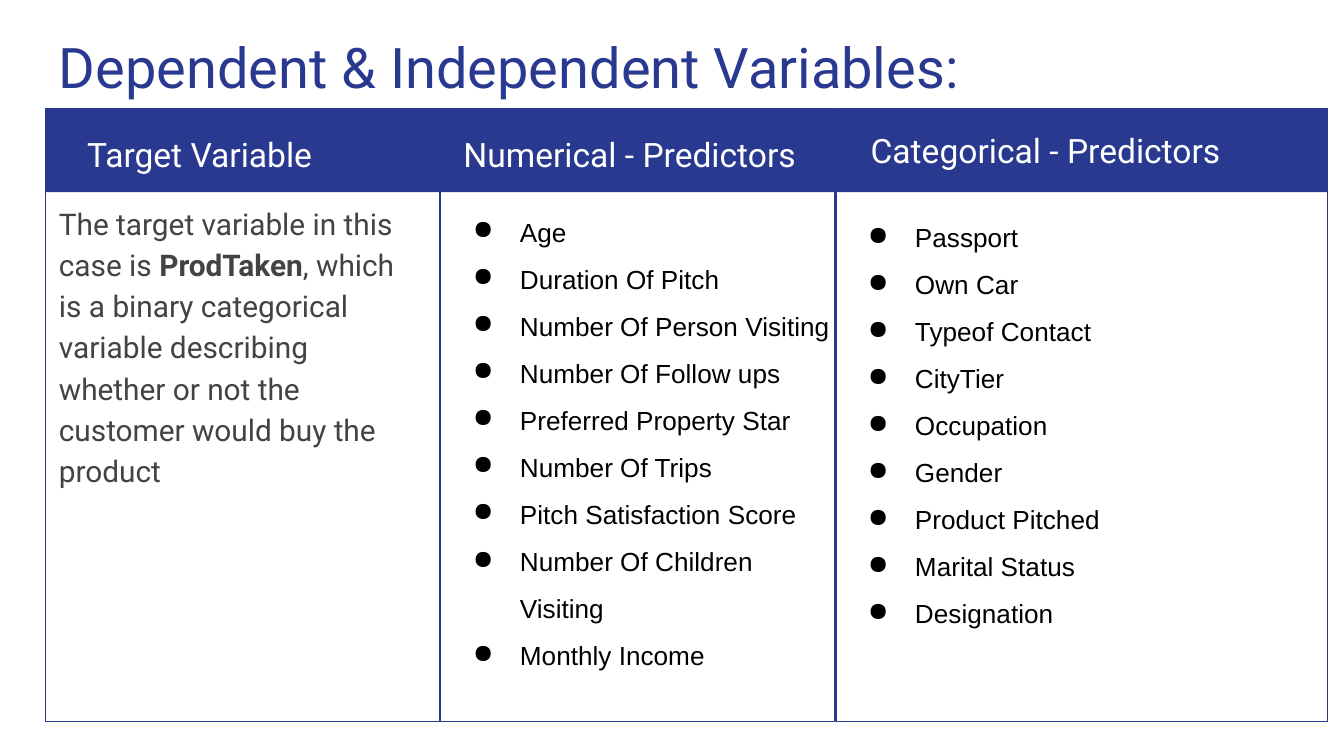
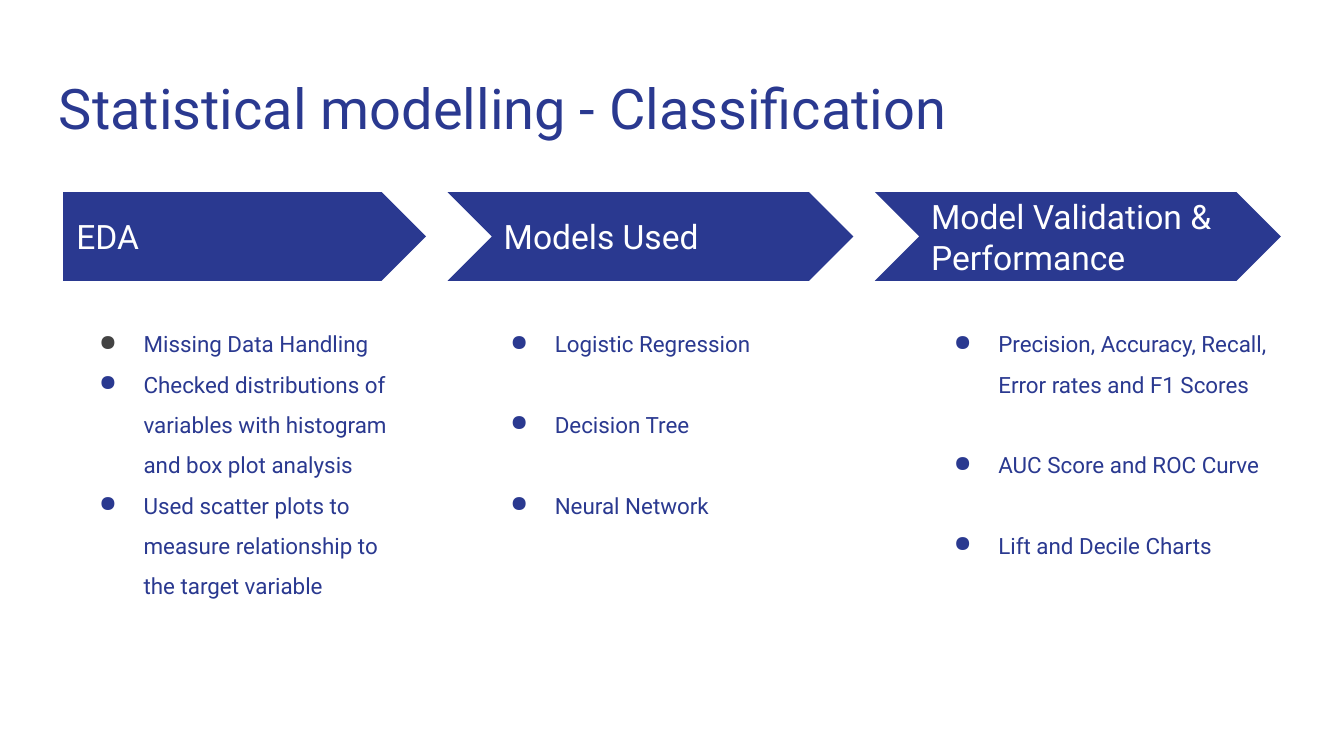
import pptx
import pptx.util
import pptx.dml.color
import pptx.enum.shapes
import pptx.enum.text
import lxml.etree

Pt = pptx.util.Pt
KIND = pptx.enum.shapes.MSO_SHAPE
ANCHOR = pptx.enum.text.MSO_ANCHOR
COLOR = {"navy": "2A3990", "gray": "434343", "black": "000000", "white": "FFFFFF"}
WIDE = pptx.util.Inches(10)
HIGH = pptx.util.Inches(5.625)
UNIT = WIDE / 100
INSET = pptx.util.Inches(0.1)


def tint(name):
    return pptx.dml.color.RGBColor.from_string(COLOR[name])


def grid(box):
    return [round(n * UNIT) for n in box]


def shape(shapes, kind, box, fill=None, line=None):
    item = shapes.add_shape(kind, *grid(box))
    item.shadow.inherit = False
    if fill:
        item.fill.solid()
        item.fill.fore_color.rgb = tint(fill)
    else:
        item.fill.background()
    if line:
        item.line.color.rgb = tint(line)
        item.line.width = Pt(0.75)
    else:
        item.line.fill.background()
    return item


def bullet(para, color, hang):
    props = para._p.get_or_add_pPr()
    props.set("marL", str(pptx.util.Inches(0.5)))
    props.set("indent", str(-pptx.util.Inches(hang)))
    space = pptx.oxml.ns.nsdecls("a")
    for xml in (
        f'<a:buClr {space}><a:srgbClr val="{COLOR[color]}"/></a:buClr>',
        f'<a:buChar {space} char="●"/>',
    ):
        props.append(pptx.oxml.parse_xml(xml))


def text(page, box, lines, size=18, color="white", font="Roboto", pitch=1.0,
         gap=0, hang=0, dots=None, anchor=ANCHOR.TOP):
    frame = page.shapes.add_textbox(*grid(box)).text_frame
    frame.word_wrap = True
    frame.vertical_anchor = anchor
    frame.margin_left = frame.margin_right = INSET
    frame.margin_top = frame.margin_bottom = INSET
    lines = [lines] if isinstance(lines, str) else lines
    for i, line in enumerate(lines):
        para = frame.add_paragraph() if i else frame.paragraphs[0]
        para.line_spacing = pitch
        if gap and i:
            para.space_before = Pt(gap)
        if hang:
            bullet(para, dots[i] if dots else color, hang)
        for j, part in enumerate(line.split("*")):
            run = para.add_run()
            run.text = part
            run.font.size = Pt(size)
            run.font.name = font
            run.font.bold = j % 2 == 1
            run.font.color.rgb = tint(color)


def title(page, top, words):
    text(page, (3.4, top, 93.2, 6.6), words, size=30, color="navy")


def panel(page, box, head, shift, body, area, **style):
    left, top, width, height = box
    group = page.shapes.add_group_shape()
    shape(group.shapes, KIND.RECTANGLE, (left, top, width, 6.2), fill="navy")
    shape(group.shapes, KIND.RECTANGLE, box, line="navy")
    dx, dy = shift
    text(page, (left + dx, top + dy, width - dx, 5.3), head, pitch=1.15)
    dx, dy, wide, high = area
    text(page, (left + dx, top + dy, wide, high), body, **style)


def step(page, box, first, label, room, items, shift=0, gap=0, dots=None):
    left, top, width, height = box
    notch = 0 if first else 3.2
    kind = KIND.PENTAGON if first else KIND.CHEVRON
    arrow = shape(page.shapes, kind, (left - notch, top, width + notch, 6.6), fill="navy")
    arrow.adjustments[0] = 0.5
    text(page, (left, top + 1.6, room, 3.4), label, anchor=ANCHOR.MIDDLE)
    text(page, (left + shift, top + 8.3, width, height - 8.3), items, size=12,
         color="navy", pitch=1.5, gap=gap, hang=0.33, dots=dots)


def fields(page):
    title(page, 1.4, "Dependent & Independent Variables:")
    top, high = 8.1, 45.6
    listed = dict(size=14, color="black", font="Arial", pitch=1.5, hang=0.35)
    panel(page, (3.4, top, 29.3, high), "Target Variable", (2.1, 0.4),
          "The target variable in this case is *ProdTaken*, which is a binary "
          "categorical variable describing whether or not the customer would "
          "buy the product",
          (0, 5.8, 27.1, 30.6), size=16, color="gray", pitch=1.15)
    panel(page, (32.8, top, 29.3, high), "Numerical - Predictors", (0.7, 0.4),
          ["Age", "Duration Of Pitch", "Number Of Person Visiting",
           "Number Of Follow ups", "Preferred Property Star",
           "Number Of Trips", "Pitch Satisfaction Score",
           "Number Of Children Visiting", "Monthly Income"],
          (-0.1, 5.8, 30.8, 37.4), **listed)
    panel(page, (62.2, top, 36.6, high), "Categorical - Predictors", (1.6, 0.1),
          ["Passport", "Own Car", "Typeof Contact", "CityTier", "Occupation",
           "Gender", "Product Pitched", "Marital Status", "Designation"],
          (-0.1, 6.2, 36.7, 39.4), **listed)


def models(page):
    title(page, 4.5, "Statistical modelling - Classification")
    steps = [
        dict(label="EDA", room=24.7, dots=["gray", "navy", "navy"],
             items=["Missing Data Handling",
                    "Checked distributions of variables with histogram and box plot analysis",
                    "Used scatter plots to measure relationship to the target variable"]),
        dict(label="Models Used", room=24.7, shift=-1.2, gap=21.6,
             items=["Logistic Regression", "Decision Tree", "Neural Network"]),
        dict(label="Model Validation & Performance", room=31.6, gap=21.6,
             items=["Precision, Accuracy, Recall, Error rates and F1 Scores",
                    "AUC Score and ROC Curve", "Lift and Decile Charts"]),
    ]
    for i, part in enumerate(steps):
        step(page, (4.7 + 31.8 * i, 14.3, 27, 37.3), i == 0, **part)


def main():
    deck = pptx.Presentation()
    deck.slide_width = WIDE
    deck.slide_height = HIGH
    for build in (fields, models):
        build(deck.slides.add_slide(deck.slide_layouts[6]))
    deck.save("out.pptx")


if __name__ == "__main__":
    main()
